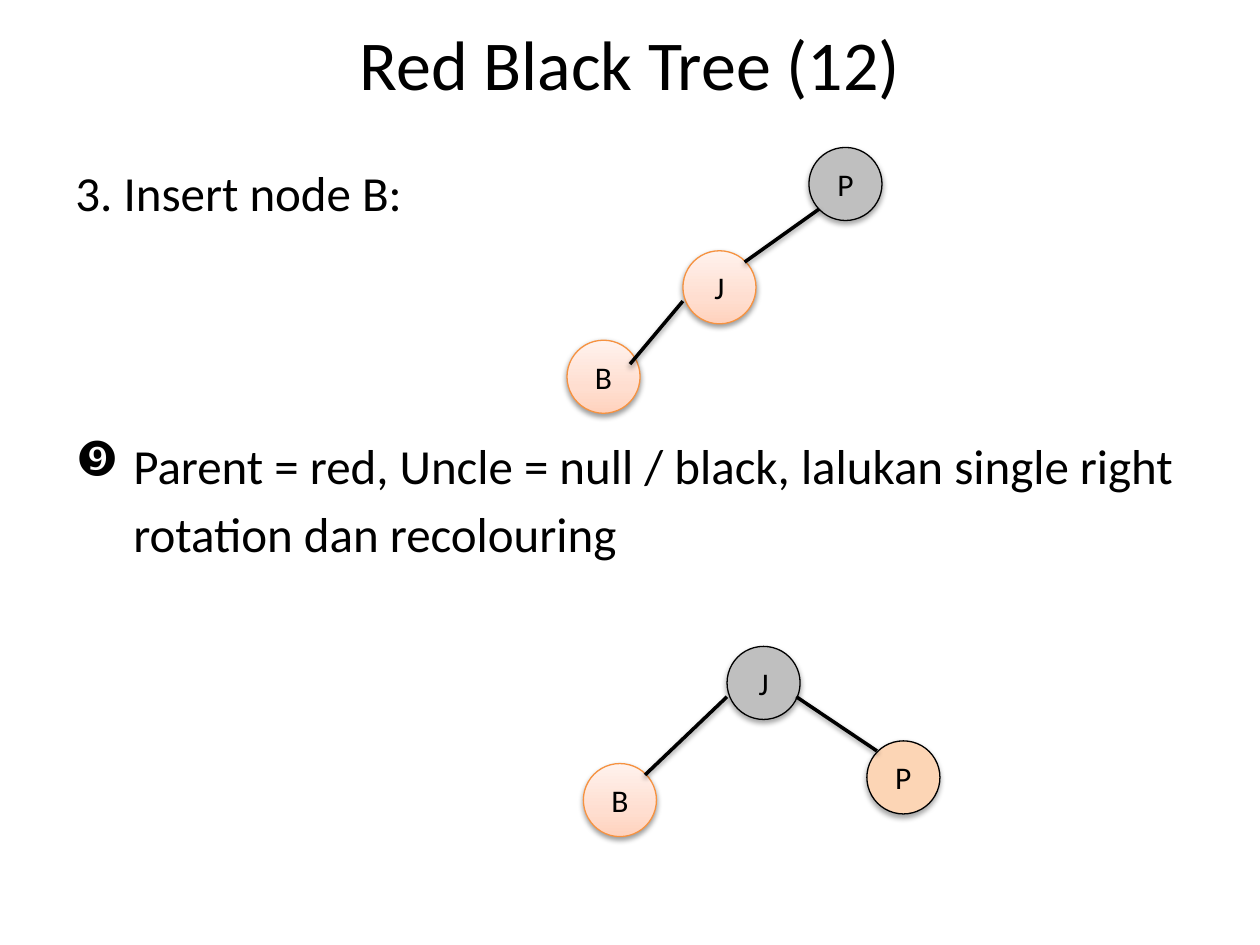
"""Build the Red Black Tree slide on inserting node B."""
from copy import deepcopy

from lxml.etree import SubElement
from pptx import Presentation
from pptx.dml.color import RGBColor
from pptx.enum.shapes import MSO_CONNECTOR, MSO_SHAPE
from pptx.enum.text import MSO_ANCHOR, PP_ALIGN
from pptx.oxml import parse_xml
from pptx.oxml.ns import nsdecls, qn
from pptx.util import Inches, Pt


def color(hex_string):
    return RGBColor.from_string(hex_string)


def cast_shadow(item, opacity, distance):
    properties = item._element.spPr
    for effects in properties.findall(qn("a:effectLst")):
        properties.remove(effects)
    properties.append(parse_xml(
        f'<a:effectLst {nsdecls("a")}><a:outerShdw blurRad="{Pt(3.1)}" '
        f'dist="{Pt(distance)}" dir="5400000" rotWithShape="0">'
        f'<a:srgbClr val="000000"><a:alpha val="{opacity * 1000}"/></a:srgbClr>'
        '</a:outerShdw></a:effectLst>'))


deck = Presentation()
deck.slide_width, deck.slide_height = Inches(10), Inches(7.5)
column, row = deck.slide_width / 1000, deck.slide_height / 750
slide = deck.slides.add_slide(deck.slide_layouts[6])

FONT, BLACK = "Calibri", "000000"
BLUSH = [(0, "FFD2BD"), (0.35, "FFDED0"), (1, "FFF2ED")]
NODE = 58

title = slide.shapes.add_textbox(
    int(50 * column), int(15 * row), int(900 * column), int(70 * row)).text_frame
title.word_wrap = True
title.vertical_anchor = MSO_ANCHOR.MIDDLE
heading = title.paragraphs[0]
heading.alignment = PP_ALIGN.CENTER
body = slide.shapes.add_textbox(
    int(50 * column), int(117 * row), int(900 * column), int(553 * row)).text_frame
body.word_wrap = True
step = body.paragraphs[0]
action = body.add_paragraph()
step.line_spacing = action.line_spacing = 1.15
action.space_before = Pt(117.5)
indents = action._p.get_or_add_pPr()
indents.set("marL", str(Inches(0.46)))
indents.set("indent", str(-Inches(0.46)))
SubElement(indents, qn("a:buFont")).set("typeface", "Wingdings")
SubElement(indents, qn("a:buChar")).set("char", "➔")

for paragraph, wording, size in [
    (heading, "Red Black Tree (12)", 40),
    (step, "3. Insert node B:", 28),
    (action, "Parent = red, Uncle = null / black, lalukan single right "
             "rotation dan recolouring", 28),
]:
    run = paragraph.add_run()
    run.text = wording
    run.font.name, run.font.size = FONT, Pt(size)
    run.font.color.rgb = color(BLACK)

inserted_tree = (
    [("P", 642, 117, "BFBFBF"), ("J", 542, 199, None), ("B", 450, 270, None)],
    [(650, 166, 591, 208), (542, 239, 500, 289)])
rotated_tree = (
    [("J", 577, 513, "BFBFBF"), ("P", 688, 588, "FCD5B5"), ("B", 463, 606, None)],
    [(577, 553, 512, 615), (696, 596, 632, 553)])

for nodes, edges in (inserted_tree, rotated_tree):
    for key, left, top, flat_fill in nodes:
        node = slide.shapes.add_shape(
            MSO_SHAPE.OVAL, int(left * column), int(top * row),
            int(NODE * column), int(NODE * row))
        node.shadow.inherit = False
        if flat_fill:
            node.fill.solid()
            node.fill.fore_color.rgb = color(flat_fill)
        else:
            node.fill.gradient()
            node.fill.gradient_angle = 90
            stops = node._element.spPr.find(qn("a:gradFill")).find(qn("a:gsLst"))
            stops.append(deepcopy(stops[0]))
            for stop, (position, tint) in zip(node.fill.gradient_stops, BLUSH):
                stop.position = position
                stop.color.rgb = color(tint)
        node.line.color.rgb = color(BLACK if flat_fill else "F69240")
        node.line.width = Pt(0.75)
        cast_shadow(node, *((35, 1.8) if flat_fill else (38, 1.6)))
        label = node.text_frame
        label.margin_left = label.margin_right = 0
        label.vertical_anchor = MSO_ANCHOR.MIDDLE
        label.paragraphs[0].alignment = PP_ALIGN.CENTER
        letter = label.paragraphs[0].add_run()
        letter.text = key
        letter.font.name, letter.font.size = FONT, Pt(18)
        letter.font.color.rgb = color(BLACK)

    for start_x, start_y, end_x, end_y in edges:
        edge = slide.shapes.add_connector(
            MSO_CONNECTOR.STRAIGHT, int(start_x * column), int(start_y * row),
            int(end_x * column), int(end_y * row))
        edge.line.color.rgb = color(BLACK)
        edge.line.width = Pt(2)
        cast_shadow(edge, 38, 1.6)

deck.save("out.pptx")
